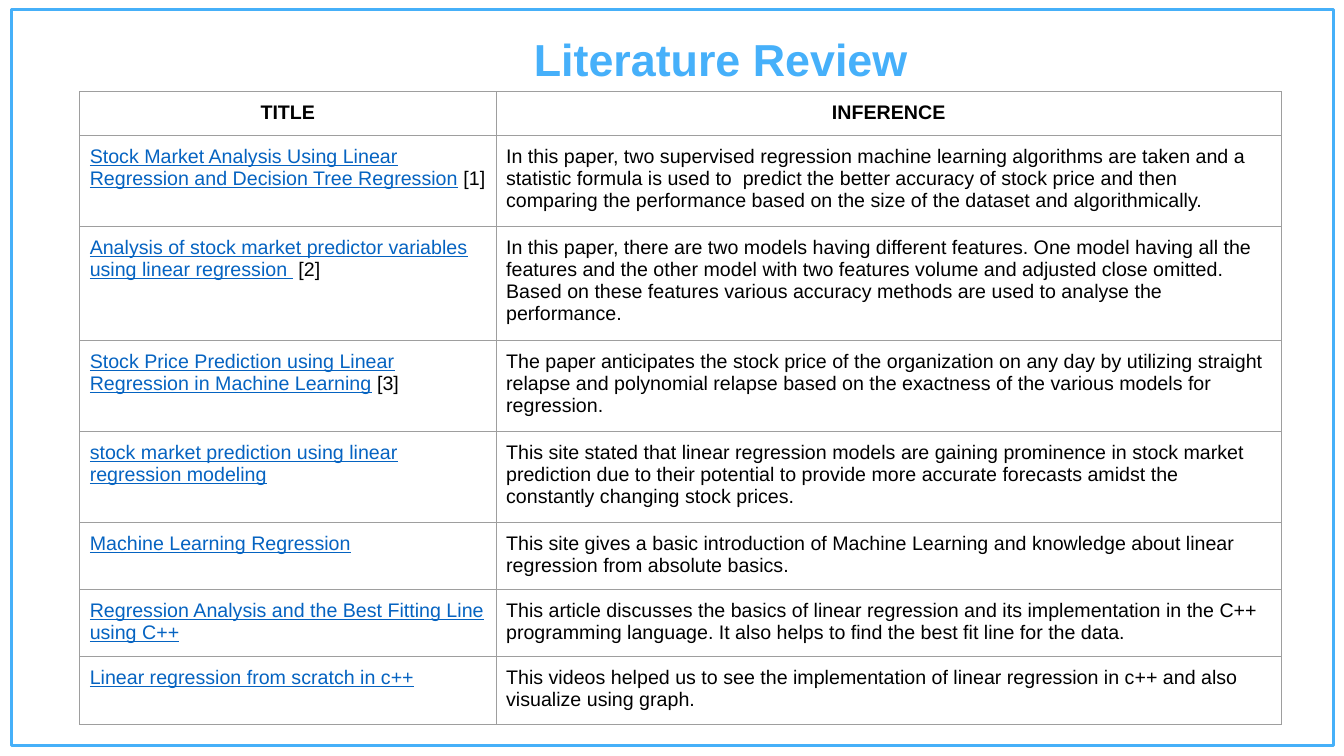
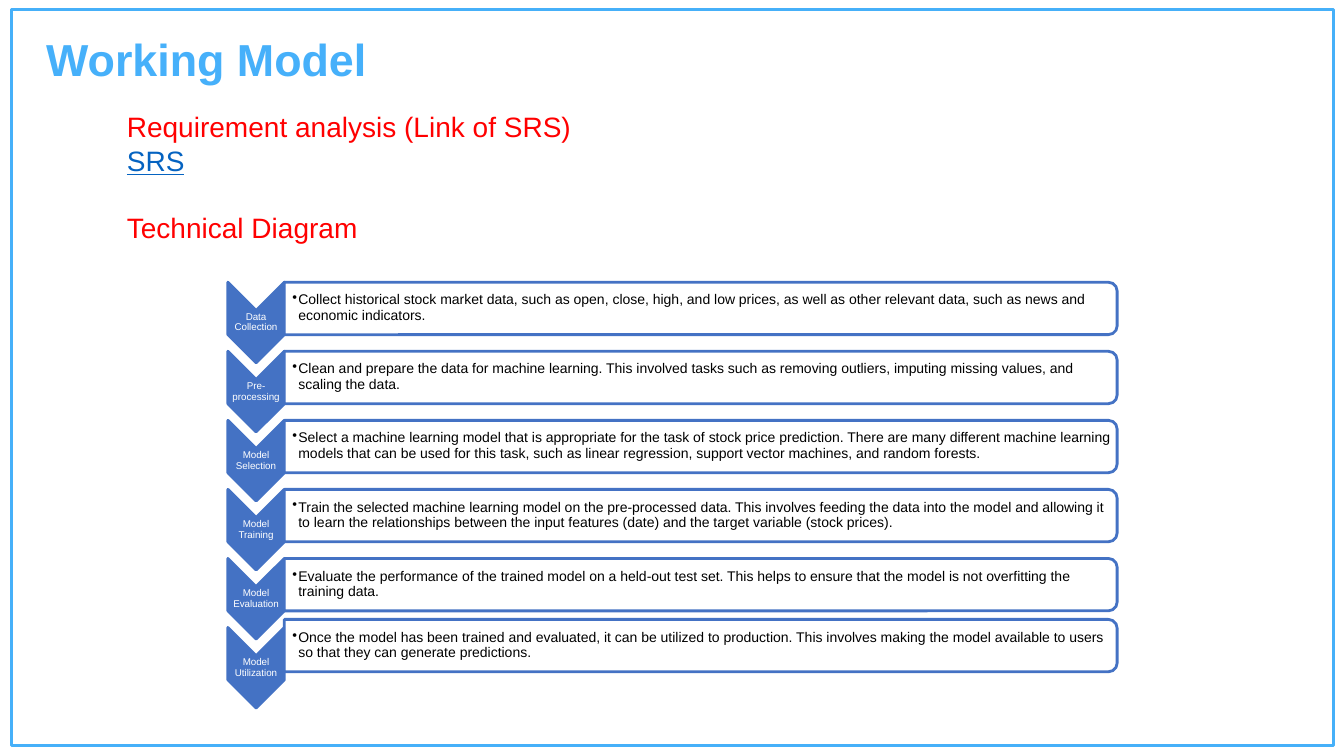
from lxml import etree
from pptx import Presentation
from pptx.dml.color import RGBColor
from pptx.enum.shapes import MSO_SHAPE
from pptx.enum.text import MSO_ANCHOR, PP_ALIGN
from pptx.oxml.ns import qn
from pptx.util import Inches, Pt

RECTANGLE = MSO_SHAPE.RECTANGLE
CHEVRON = MSO_SHAPE.CHEVRON
ROUND_TOP = MSO_SHAPE.ROUND_2_SAME_RECTANGLE
LEFT, CENTER = PP_ALIGN.LEFT, PP_ALIGN.CENTER
TOP, MIDDLE = MSO_ANCHOR.TOP, MSO_ANCHOR.MIDDLE

FONT = "Arial"
COLORS = {
    "frame": "46B0F9", "title": "46B0FA", "text": "000000", "link": "0563C1",
    "border": "9E9E9E", "heading": "FF0000", "step": "4472C4", "white": "FFFFFF",
}

# Linked title, reference mark, inference, number of text lines
PAPERS = [
    ("Stock Market Analysis Using Linear Regression and Decision Tree Regression", " [1]",
     "In this paper, two supervised regression machine learning algorithms are taken and a "
     "statistic formula is used to  predict the better accuracy of stock price and then comparing "
     "the performance based on the size of the dataset and algorithmically.", 3),
    ("Analysis of stock market predictor variables using linear regression ", " [2]",
     "In this paper, there are two models having different features. One model having all the "
     "features and the other model with two features volume and adjusted close omitted. Based on "
     "these features various accuracy methods are used to analyse the performance.", 4),
    ("Stock Price Prediction using Linear Regression in Machine Learning", " [3]",
     "The paper anticipates the stock price of the organization on any day by utilizing straight "
     "relapse and polynomial relapse based on the exactness of the various models for "
     "regression.", 3),
    ("stock market prediction using linear regression modeling", "",
     "This site stated that linear regression models are gaining prominence in stock market "
     "prediction due to their potential to provide more accurate forecasts amidst the constantly "
     "changing stock prices.", 3),
    ("Machine Learning Regression", "",
     "This site gives a basic introduction of Machine Learning and knowledge about linear "
     "regression from absolute basics.", 2),
    ("Regression Analysis and the Best Fitting Line using C++", "",
     "This article discusses the basics of linear regression and its implementation in the C++ "
     "programming language. It also helps to find the best fit line for the data.", 2),
    ("Linear regression from scratch in c++", "",
     "This videos helped us to see the implementation of linear regression in c++ and also "
     "visualize using graph.", 2),
]

STEPS = [
    ("Data Collection",
     "Collect historical stock market data, such as open, close, high, and low prices, as well as "
     "other relevant data, such as news and economic indicators."),
    ("Pre-processing",
     "Clean and prepare the data for machine learning. This involved tasks such as removing "
     "outliers, imputing missing values, and scaling the data."),
    ("Model Selection",
     "Select a machine learning model that is appropriate for the task of stock price prediction. "
     "There are many different machine learning models that can be used for this task, such as "
     "linear regression, support vector machines, and random forests."),
    ("Model Training",
     "Train the selected machine learning model on the pre-processed data. This involves feeding "
     "the data into the model and allowing it to learn the relationships between the input "
     "features (date) and the target variable (stock prices)."),
    ("Model Evaluation",
     "Evaluate the performance of the trained model on a held-out test set. This helps to ensure "
     "that the model is not overfitting the training data."),
    ("Model Utilization",
     "Once the model has been trained and evaluated, it can be utilized to production. This "
     "involves making the model available to users so that they can generate predictions."),
]

# Text, colour, underline, space before in points
REQUIREMENTS = [
    ("Requirement analysis (Link of SRS)", "heading", False, 0),
    ("SRS", "link", True, 0),
    ("Technical Diagram", "heading", False, 24),
]


def rgb(name):
    return RGBColor.from_string(COLORS[name])


def add_run(paragraph, text, size, color="text", bold=False, underline=False):
    run = paragraph.add_run()
    run.text = text
    run.font.name, run.font.size = FONT, Pt(size)
    run.font.bold, run.font.underline = bold, underline
    run.font.color.rgb = rgb(color)


def add_text_box(slide, box, insets=(0.1, 0.05, 0.1, 0.05), anchor=TOP):
    frame = slide.shapes.add_textbox(*map(Inches, box)).text_frame
    frame.word_wrap = True
    frame.vertical_anchor = anchor
    (frame.margin_left, frame.margin_top,
     frame.margin_right, frame.margin_bottom) = map(Inches, insets)
    return frame


def add_outline(slide, kind, box, line, width, fill=None):
    shape = slide.shapes.add_shape(kind, *map(Inches, box))
    shape.shadow.inherit = False
    shape.line.color.rgb = rgb(line)
    shape.line.width = Pt(width)
    if fill:
        shape.fill.solid()
        shape.fill.fore_color.rgb = rgb(fill)
    else:
        shape.fill.background()
    return shape


def add_turned(slide, kind, box, fill):
    """Add a step shape turned a quarter clockwise that fills box on the slide."""
    left, top, width, height = box
    shift = (width - height) / 2
    shape = add_outline(slide, kind, (left + shift, top - shift, height, width), "step", 2, fill)
    shape.rotation = 90
    return shape


def add_framed_slide(presentation, title, title_left, alignment):
    slide = presentation.slides.add_slide(presentation.slide_layouts[6])
    add_outline(slide, RECTANGLE, (0.11, 0.09, 13.12, 7.31), "frame", 2.25)
    paragraph = add_text_box(slide, (title_left, 0.27, 8.24, 0.64)).paragraphs[0]
    paragraph.alignment = alignment
    add_run(paragraph, title, 32, "title", bold=True)
    return slide


def style_cell(cell):
    cell.margin_left = cell.margin_right = cell.margin_top = cell.margin_bottom = Inches(0.1)
    properties = cell._tc.get_or_add_tcPr()
    for side in ("lnL", "lnR", "lnT", "lnB"):
        line = etree.SubElement(properties, qn(f"a:{side}"), w=str(Pt(0.75)))
        fill = etree.SubElement(line, qn("a:solidFill"))
        etree.SubElement(fill, qn("a:srgbClr"), val=COLORS["border"])
    cell.fill.background()


def add_papers(slide):
    line_counts = [1] + [paper[-1] for paper in PAPERS]
    heights = [0.2 + 0.23 * count for count in line_counts]
    widths = (4.13, 7.79)
    table = slide.shapes.add_table(
        len(heights), len(widths), Inches(0.79), Inches(0.91),
        Inches(sum(widths)), Inches(sum(heights))).table
    table.first_row = table.horz_banding = False
    for column, width in zip(table.columns, widths):
        column.width = Inches(width)
    for row, height in zip(table.rows, heights):
        row.height = Inches(height)
    for cell in table.iter_cells():
        style_cell(cell)
    for column, heading in enumerate(("TITLE", "INFERENCE")):
        paragraph = table.cell(0, column).text_frame.paragraphs[0]
        paragraph.alignment = CENTER
        add_run(paragraph, heading, 14, bold=True)
    for row, (title, mark, inference, _) in enumerate(PAPERS, 1):
        paragraph = table.cell(row, 0).text_frame.paragraphs[0]
        add_run(paragraph, title, 14, "link", underline=True)
        if mark:
            add_run(paragraph, mark, 14)
        add_run(table.cell(row, 1).text_frame.paragraphs[0], inference, 14)


def add_requirements(slide):
    frame = add_text_box(slide, (1.16, 1.04, 10.83, 1.5))
    for index, (text, color, underline, space) in enumerate(REQUIREMENTS):
        paragraph = frame.add_paragraph() if index else frame.paragraphs[0]
        paragraph.space_before = Pt(space)
        add_run(paragraph, text, 20, color, underline=underline)


def add_bullet(paragraph):
    properties = paragraph._p.get_or_add_pPr()
    properties.set("marL", str(Inches(0.06)))
    properties.set("indent", str(-Inches(0.06)))
    etree.SubElement(properties, qn("a:buChar"), char="•")


def add_steps(slide):
    left, first_top, pitch = 2.26, 2.8, 0.685
    chevron_width, chevron_height = 0.56, 0.8
    bar_left, bar_width, bar_height = left + chevron_width, 8.26, 0.52
    last_bar_lift = 0.08
    for index, (label, description) in enumerate(STEPS):
        top = first_top + index * pitch
        bar_top = top - (last_bar_lift if index == len(STEPS) - 1 else 0)

        add_turned(slide, CHEVRON, (left, top, chevron_width, chevron_height), "step")
        frame = add_text_box(slide, (left, top + 0.28, chevron_width, 0.24), (0, 0, 0, 0), MIDDLE)
        paragraph = frame.paragraphs[0]
        paragraph.alignment, paragraph.line_spacing = CENTER, 0.9
        add_run(paragraph, label, 7, "white")

        bar = add_turned(slide, ROUND_TOP, (bar_left, bar_top, bar_width, bar_height), "white")
        color = bar.fill._xPr.find(qn("a:solidFill"))[0]
        etree.SubElement(color, qn("a:alpha"), val="90000")
        frame = add_text_box(slide, (bar_left, bar_top + 0.02, 8.23, 0.47),
                             (0.08, 0.01, 0.01, 0.01), MIDDLE)
        paragraph = frame.paragraphs[0]
        paragraph.alignment, paragraph.line_spacing = LEFT, 0.9
        add_bullet(paragraph)
        add_run(paragraph, description, 10)


def main():
    presentation = Presentation()
    presentation.slide_width, presentation.slide_height = Inches(13.33), Inches(7.5)
    add_papers(add_framed_slide(presentation, "Literature Review", 3.03, CENTER))
    model_slide = add_framed_slide(presentation, "Working Model", 0.36, LEFT)
    add_requirements(model_slide)
    add_steps(model_slide)
    presentation.save("out.pptx")


if __name__ == "__main__":
    main()
